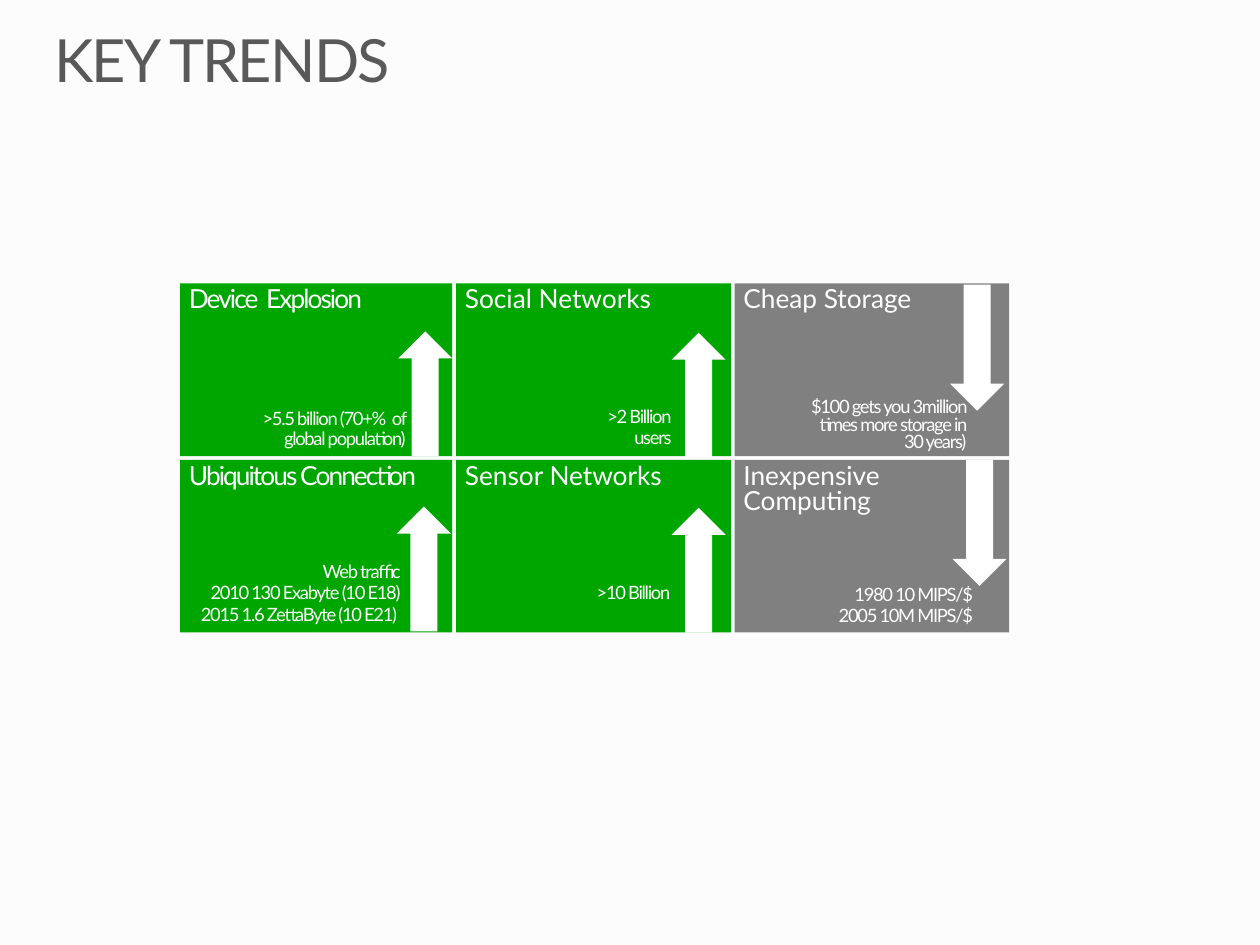
from pptx import Presentation
from pptx.dml.color import RGBColor
from pptx.enum.shapes import MSO_SHAPE
from pptx.enum.text import MSO_ANCHOR, PP_ALIGN
from pptx.util import Inches, Pt

RECT, UP, DOWN = MSO_SHAPE.RECTANGLE, MSO_SHAPE.UP_ARROW, MSO_SHAPE.DOWN_ARROW
TOP = MSO_ANCHOR.TOP
LEFT, RIGHT = PP_ALIGN.LEFT, PP_ALIGN.RIGHT

FONT = "Lato"
PAPER = RGBColor(0xFC, 0xFC, 0xFC)
INK = RGBColor(0x59, 0x59, 0x59)
WHITE = RGBColor(0xFF, 0xFF, 0xFF)
GREEN = RGBColor(0x00, 0xA6, 0x00)
GRAY = RGBColor(0x80, 0x80, 0x80)

# Left edge, width and colour of each column; top edge of each row
COLS = [(1.43, 2.16, GREEN), (3.62, 2.18, GREEN), (5.83, 2.18, GRAY)]
ROWS = [2.25, 3.65]
TILE_H = 1.37
ARROW_W = 0.43

# Column, row, heading, heading tracking, note lines, note box, note line
# spacing, arrow kind, arrow left, top and height
TRENDS = [
    (0, 0, "Device  Explosion", -1.1,
     [">5.5 billion (70+%  of global population)"],
     (1.74, 3.25, 1.48, 0.32), 0.9, UP, (3.16, 2.63, 0.99)),
    (1, 0, "Social Networks", 0, [">2 Billion", "users"],
     (4.02, 3.25, 1.31, 0.32), 0.8, UP, (5.33, 2.64, 0.99)),
    (2, 0, "Cheap Storage", 0,
     ["$100 gets you 3million times more storage in 30 years)"],
     (6.41, 3.17, 1.26, 0.42), 0.8, DOWN, (7.54, 2.26, 1)),
    (0, 1, "Ubiquitous Connection", -1.1,
     ["Web traffic", "2010 130 Exabyte (10 E18)",
      "2015 1.6 ZettaByte (10 E21) "],
     (1.38, 4.48, 1.8, 0.49), 0.8, UP, (3.15, 4.02, 0.99)),
    (1, 1, "Sensor Networks", 0, [">10 Billion"],
     (3.99, 4.65, 1.33, 0.32), 0.8, UP, (5.33, 4.03, 0.99)),
    (2, 1, "Inexpensive Computing", 0,
     ["1980 10 MIPS/$ ", "2005 10M MIPS/$ "],
     (6.5, 4.66, 1.25, 0.32), 0.8, DOWN, (7.56, 3.65, 1)),
]


def write(frame, lines, size, color, align, leading, track=0, pad=(0, 0)):
    """Fill a text frame, one paragraph a line; track is in points."""
    frame.word_wrap = True
    frame.vertical_anchor = TOP
    frame.margin_left = frame.margin_right = Inches(pad[0])
    frame.margin_top = frame.margin_bottom = Inches(pad[1])
    for i, line in enumerate(lines):
        para = frame.add_paragraph() if i else frame.paragraphs[0]
        para.alignment = align
        para.line_spacing = leading
        if i:
            para.space_before = Pt(0.2 * size)
        run = para.add_run()
        run.text = line
        font = run.font
        font.name, font.size = FONT, Pt(size)
        font.color.rgb = color
        if track:
            font._element.set("spc", str(round(track * 100)))


def add_text(slide, box, *args):
    frame = slide.shapes.add_textbox(*map(Inches, box)).text_frame
    write(frame, *args)


def add_block(slide, kind, box, color):
    """Add a plain filled shape with no line."""
    shape = slide.shapes.add_shape(kind, *map(Inches, box))
    shape.shadow.inherit = False
    shape.fill.solid()
    shape.fill.fore_color.rgb = color
    shape.line.fill.background()
    return shape


def add_trend(slide, col, row, head, track, notes, box, leading, kind, place):
    left, width, color = COLS[col]
    tile = add_block(slide, RECT, (left, ROWS[row], width, TILE_H), color)
    write(tile.text_frame, [head], 15, WHITE, LEFT, 0.8, track, (0.07, 0.04))
    add_text(slide, box, notes, 10.5, WHITE, RIGHT, leading, -0.7)
    x, y, height = place
    add_block(slide, kind, (x, y, ARROW_W, height), WHITE)


def main():
    deck = Presentation()
    deck.slide_width, deck.slide_height = Inches(10), Inches(7.5)
    slide = deck.slides.add_slide(deck.slide_layouts[6])
    back = slide.background.fill
    back.solid()
    back.fore_color.rgb = PAPER
    add_text(slide, (0.43, 0.25, 9.15, 0.61), ["KEY TRENDS"],
             34, INK, LEFT, 0.9, -1)
    for trend in TRENDS:
        add_trend(slide, *trend)
    deck.save("out.pptx")


if __name__ == "__main__":
    main()
